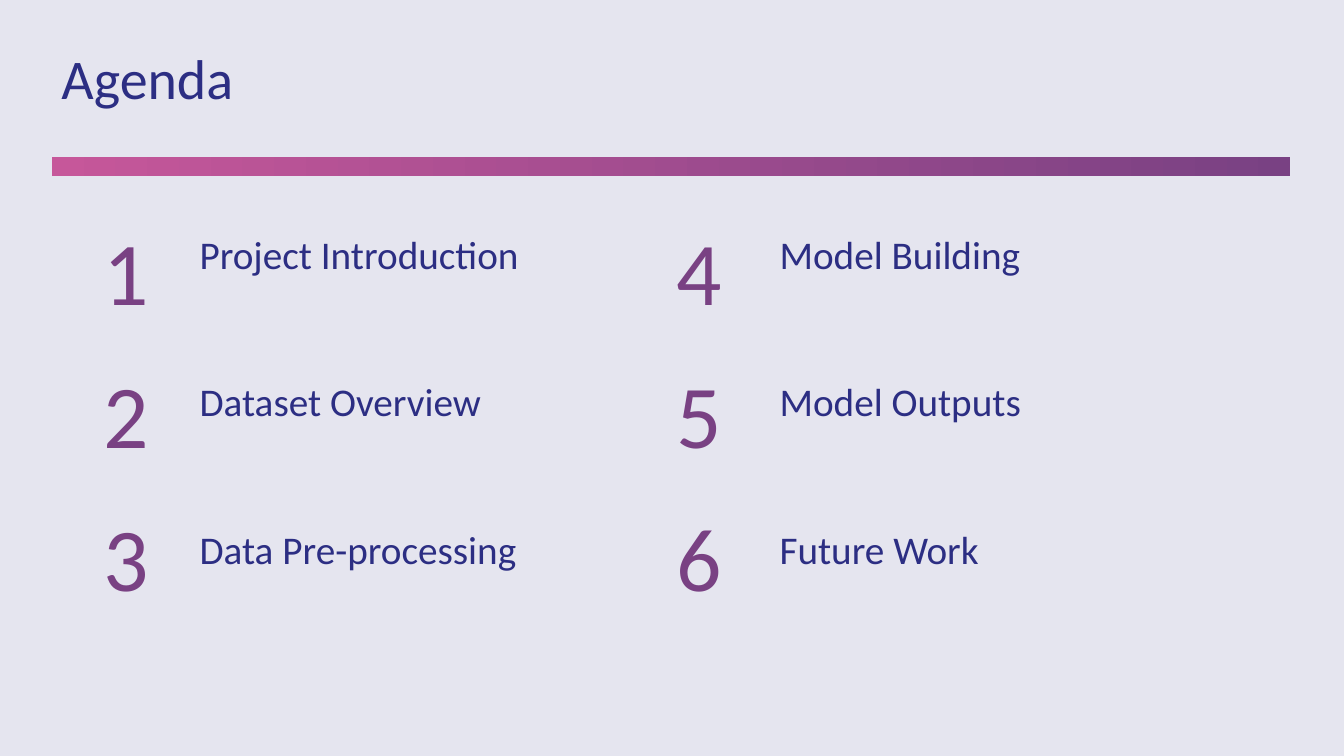
from lxml import etree
from pptx import Presentation
from pptx.dml.color import RGBColor
from pptx.enum.shapes import MSO_SHAPE
from pptx.enum.text import MSO_ANCHOR, MSO_AUTO_SIZE, PP_ALIGN
from pptx.oxml.ns import qn
from pptx.util import Inches, Pt

RECT = MSO_SHAPE.RECTANGLE
TOP, MIDDLE = MSO_ANCHOR.TOP, MSO_ANCHOR.MIDDLE
LEFT = PP_ALIGN.LEFT
FIXED = MSO_AUTO_SIZE.NONE

WIDE, HIGH = 26.67, 15
FONT = "Calibri"
HUES = {"navy": "2C2E83", "plum": "794183", "pink": "C6579A"}
TOPICS = [
    ["Project Introduction", "Dataset Overview", "Data Pre-processing"],
    ["Model Building", "Model Outputs", "Future Work"],
]

# Grid: left edge of each column, then first row and step
NUM_COLS, NUM_TOP, NUM_STEP = (1.78, 13.15), 4.01, 2.835
TOPIC_COLS, TOPIC_TOP, TOPIC_STEP = (3.76, 15.27), 4.71, 2.925


def color(name):
    return RGBColor.from_string(HUES[name])


def place(shape, box):
    shape.left, shape.top, shape.width, shape.height = map(Inches, box)


def write(shape, text, size, hue, pad=(0.27, 0.27), anchor=TOP):
    """Fill a shape with one left-aligned line of text."""
    frame = shape.text_frame
    frame.text = text
    frame.word_wrap = True
    frame.auto_size = FIXED
    frame.vertical_anchor = anchor
    frame.margin_left = frame.margin_right = Inches(pad[0])
    frame.margin_top = frame.margin_bottom = Inches(pad[1])
    line = frame.paragraphs[0]
    line.alignment = LEFT
    font = line.runs[0].font
    font.name, font.size = FONT, Pt(size)
    font.color.rgb = color(hue)
    return line


def add_rect(slide, box):
    shape = slide.shapes.add_shape(RECT, *map(Inches, box))
    shape.shadow.inherit = False
    shape.line.fill.background()
    return shape


def add_tint(slide):
    """Cover the slide with a faint navy wash."""
    fill = add_rect(slide, (0, 0, WIDE, HIGH)).fill
    fill.solid()
    fill.fore_color.rgb = color("navy")
    tone = fill._xPr.find(".//" + qn("a:srgbClr"))
    etree.SubElement(tone, qn("a:alpha")).set("val", "12000")


def add_bar(slide):
    fill = add_rect(slide, (1.03, 3.11, 24.57, 0.38)).fill
    fill.gradient()
    fill.gradient_angle = 0
    for stop, place_at, hue in zip(fill.gradient_stops, (0, 1), ("pink", "plum")):
        stop.position = place_at
        stop.color.rgb = color(hue)


def add_title(slide, text):
    title = slide.shapes.title
    place(title, (0.95, 0.6, 14.62, 1.51))
    write(title, text, 80, "navy")
    # Bring the title in front of the wash
    slide.shapes._spTree.append(title._element)


def add_text(slide, box):
    return slide.shapes.add_textbox(*map(Inches, box))


def add_number(slide, col, row, text):
    box = (NUM_COLS[col], NUM_TOP + row * NUM_STEP, 1.98, 1.89)
    write(add_text(slide, box), text, 128, "plum")


def add_topic(slide, col, row, text):
    box = (TOPIC_COLS[col], TOPIC_TOP + row * TOPIC_STEP, 9.1, 0.76)
    line = write(add_text(slide, box), text, 56, "navy", (0.2, 0.1), MIDDLE)
    line.line_spacing = 0.9
    line.space_before = Pt(21)


def main():
    deck = Presentation()
    deck.slide_width, deck.slide_height = Inches(WIDE), Inches(HIGH)
    slide = deck.slides.add_slide(deck.slide_layouts[5])

    # Backdrop and header
    add_tint(slide)
    add_title(slide, "Agenda")
    add_bar(slide)

    # Numbered topics, column by column
    for col, topics in enumerate(TOPICS):
        for row, topic in enumerate(topics):
            add_number(slide, col, row, str(col * len(topics) + row + 1))
            add_topic(slide, col, row, topic)

    deck.save("out.pptx")


if __name__ == "__main__":
    main()
